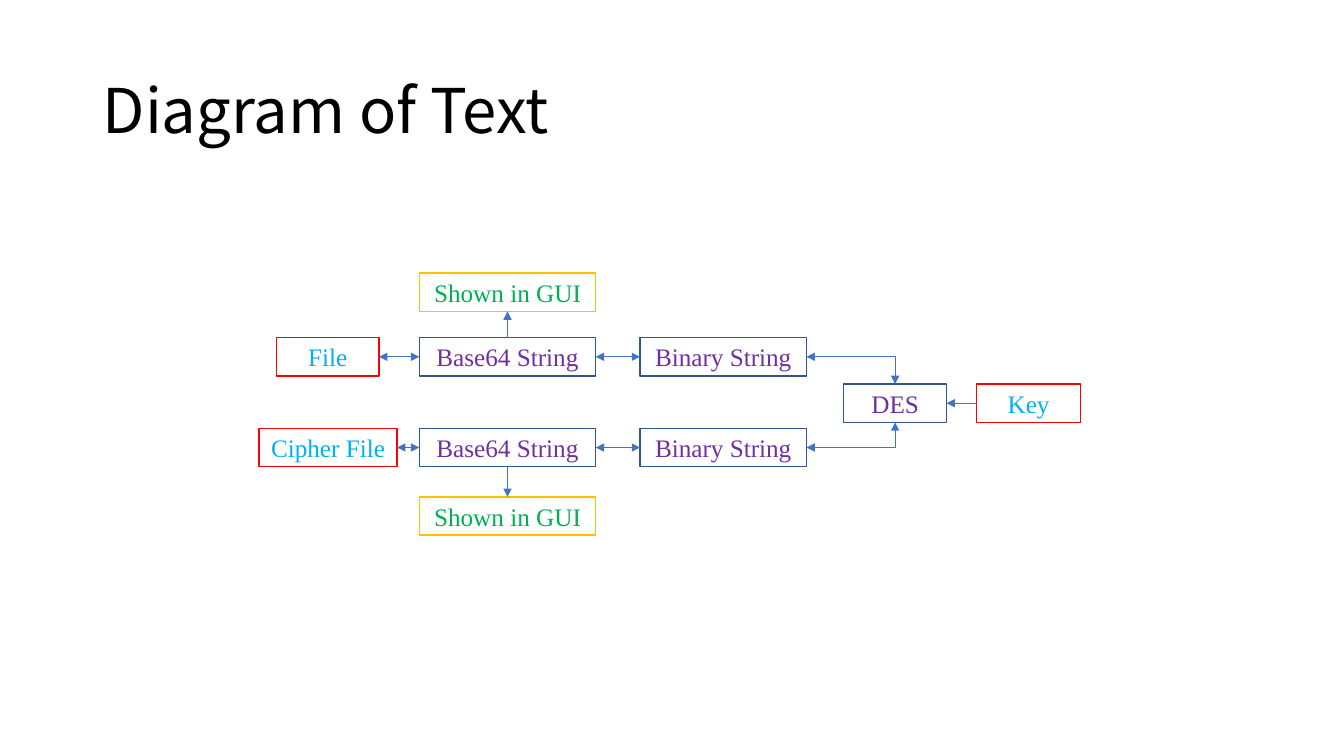
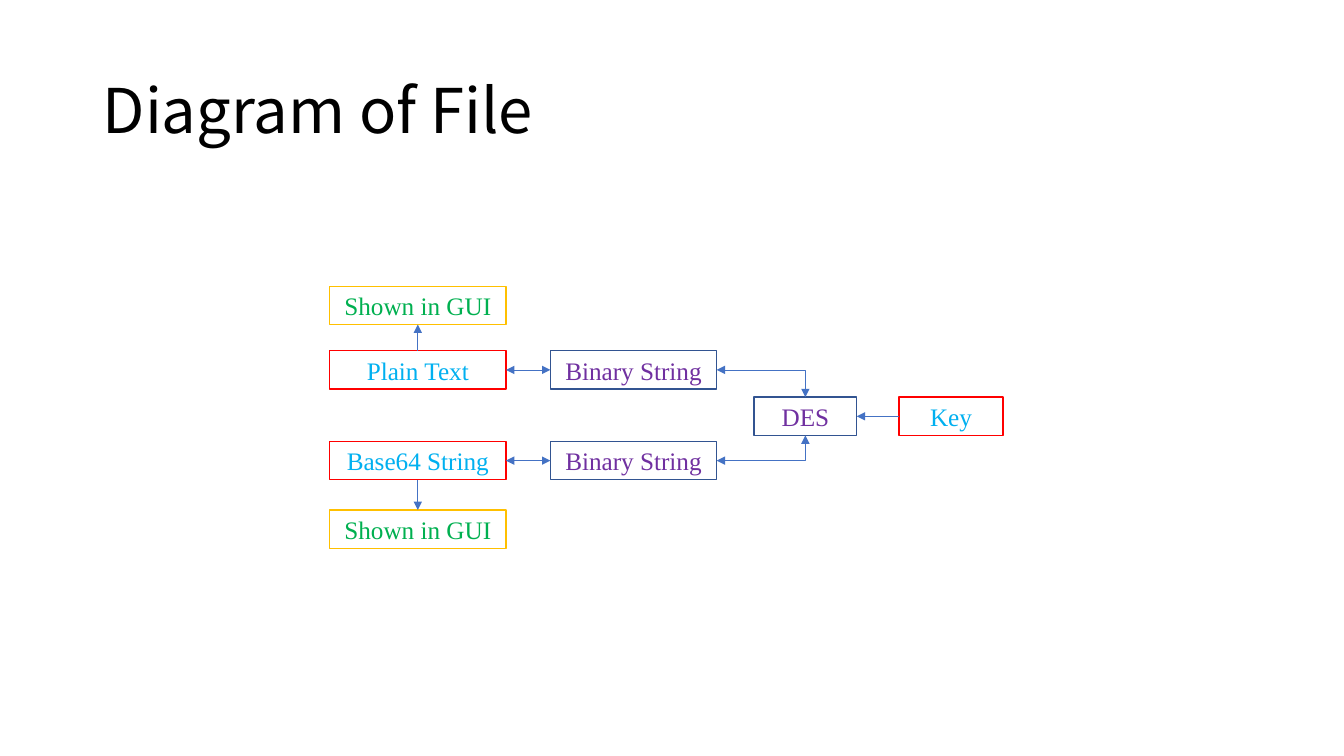
import pptx
import pptx.dml.color
import pptx.enum.shapes
import pptx.enum.text
import pptx.oxml
import pptx.oxml.ns
import pptx.util

RGB = pptx.dml.color.RGBColor
BLACK = RGB(0x00, 0x00, 0x00)
RED = RGB(0xFF, 0x00, 0x00)
SKY = RGB(0x00, 0xB0, 0xF0)
NAVY = RGB(0x32, 0x54, 0x91)
PLUM = RGB(0x70, 0x30, 0xA0)
GOLD = RGB(0xFF, 0xC0, 0x00)
GREEN = RGB(0x00, 0xB0, 0x50)
BLUE = RGB(0x44, 0x72, 0xC4)

SERIF = "Times New Roman"
SANS = "Noto Sans CJK SC"
CELL = pptx.util.Inches(0.1)
WIDE, HIGH = 133.33, 75
TALL = 3.8
INPUT, STEP, VIEW = (RED, SKY), (NAVY, PLUM), (GOLD, GREEN)
TOP, LEFT, BOTTOM, RIGHT = range(4)
ALIGN = pptx.enum.text.PP_ALIGN
LINK = pptx.enum.shapes.MSO_CONNECTOR


def grid(*cells):
    """Turn counts of grid cells into lengths."""
    return [round(cell * CELL) for cell in cells]


def write(frame, text, size=18, font=SERIF, color=BLACK, align=ALIGN.CENTER, space=1.0):
    """Set the text of a frame and its format."""
    frame.word_wrap = True
    frame.vertical_anchor = pptx.enum.text.MSO_ANCHOR.MIDDLE
    para = frame.paragraphs[0]
    para.alignment = align
    para.line_spacing = space
    run = para.add_run()
    run.text = text
    run.font.size = pptx.util.Pt(size)
    run.font.name = font
    run.font.color.rgb = color


def title(slide, text):
    """Place the slide title."""
    box = slide.shapes.add_textbox(*grid(9.2, 4, 115, 14.5))
    write(box.text_frame, text, size=44, font=SANS, align=ALIGN.LEFT, space=0.9)


def node(slide, text, kind, left, top, width):
    """Draw one outlined box with its label."""
    kinds = pptx.enum.shapes.MSO_SHAPE
    box = slide.shapes.add_shape(kinds.RECTANGLE, *grid(left, top, width, TALL))
    edge, ink = kind
    box.shadow.inherit = False
    box.fill.background()
    box.line.color.rgb = edge
    box.line.width = pptx.util.Pt(1)
    write(box.text_frame, text, color=ink)
    return box


def join(slide, start, out, end, into, both=True, bent=False):
    """Link two boxes with an arrow, straight or with one bend."""
    kind = LINK.ELBOW if bent else LINK.STRAIGHT
    wire = slide.shapes.add_connector(kind, 0, 0, 0, 0)
    wire.begin_connect(start, out)
    wire.end_connect(end, into)
    wire.line.color.rgb = BLUE
    wire.line.width = pptx.util.Pt(0.5)
    props = wire._element.spPr
    if bent:
        props.find(pptx.oxml.ns.qn("a:prstGeom")).set("prst", "bentConnector2")
    line = props.find(pptx.oxml.ns.qn("a:ln"))
    for tag in ["a:headEnd", "a:tailEnd"] if both else ["a:tailEnd"]:
        tip = pptx.oxml.parse_xml(f"<{tag} {pptx.oxml.ns.nsdecls('a')}/>")
        tip.set("type", "triangle")
        line.append(tip)
    props.append(pptx.oxml.parse_xml(f"<a:effectLst {pptx.oxml.ns.nsdecls('a')}/>"))


def lane(slide, left, top, text, kind, view, side, des, file=None):
    """Draw one row from its source, past its view, to the cipher."""
    base = node(slide, text, kind, left, top, 17.5)
    bits = node(slide, "Binary String", STEP, left + 21.9, top, 16.5)
    show = node(slide, "Shown in GUI", VIEW, left, view, 17.5)
    join(slide, base, side, show, BOTTOM - side, both=False)
    join(slide, base, RIGHT, bits, LEFT)
    join(slide, bits, RIGHT, des, side, bent=True)
    if file:
        name, shift, width = file
        start = node(slide, name, INPUT, left - shift, top, width)
        join(slide, start, RIGHT, base, LEFT)


def flow(slide, left, top, key, upper, lower):
    """Draw both rows around the cipher and its key."""
    des = node(slide, "DES", STEP, left + 42.1, top + 11, 10.2)
    code = node(slide, "Key", INPUT, left + key, top + 11, 10.3)
    join(slide, code, LEFT, des, RIGHT, both=False)
    lane(slide, left, top + 6.4, view=top, side=TOP, des=des, **upper)
    lane(slide, left, top + 15.4, view=top + 22.2, side=BOTTOM, des=des, **lower)


def main():
    """Build both slides and save them."""
    deck = pptx.Presentation()
    deck.slide_width, deck.slide_height = grid(WIDE, HIGH)
    base = {"text": "Base64 String", "kind": STEP}
    pages = [
        ("Diagram of Text", 41.6, 27.1, 55.3,
         {**base, "file": ("File", 14.2, 10.2)},
         {**base, "file": ("Cipher File", 15.9, 13.7)}),
        ("Diagram of File", 32.7, 28.4, 56.5,
         {"text": "Plain Text", "kind": INPUT},
         {"text": "Base64 String", "kind": INPUT}),
    ]
    for name, *parts in pages:
        slide = deck.slides.add_slide(deck.slide_layouts[6])
        flow(slide, *parts)
        title(slide, name)
    deck.save("out.pptx")


if __name__ == "__main__":
    main()
